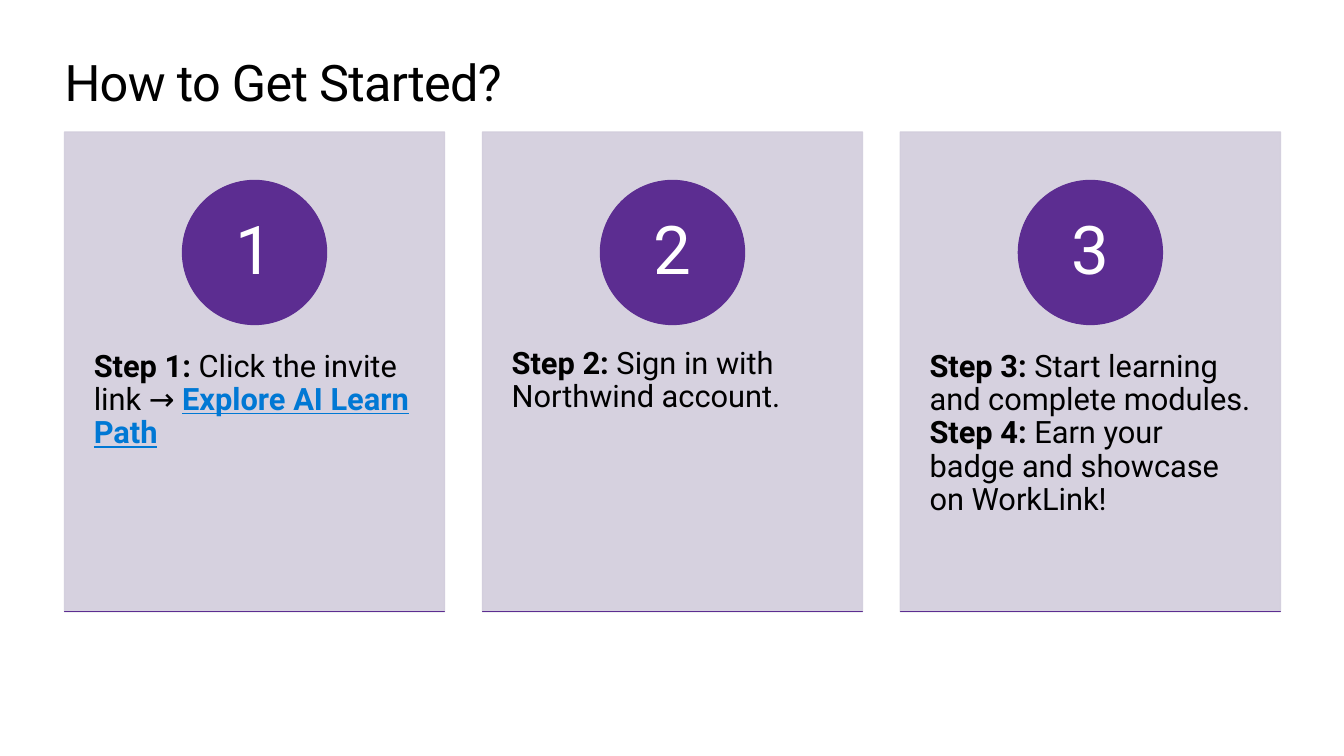
from lxml.etree import SubElement
from pptx import Presentation
from pptx.dml.color import RGBColor
from pptx.enum.shapes import MSO_SHAPE as Preset
from pptx.enum.text import MSO_ANCHOR as Anchor, PP_ALIGN as Align
from pptx.oxml.ns import qn
from pptx.util import Inches, Pt

BLACK = RGBColor(0x00, 0x00, 0x00)
WHITE = RGBColor(0xFF, 0xFF, 0xFF)
LILAC = RGBColor(0xD2, 0xCD, 0xDC)
PURPLE = RGBColor(0x5C, 0x2D, 0x91)
LINK_BLUE = RGBColor(0x00, 0x78, 0xD4)

TITLE = "How to Get Started?"
PLAIN = {"bold": False}
STRONG = {"bold": True}
LINK = {"bold": True, "underline": True, "color": LINK_BLUE}
CARDS = [
    [[("Step 1:", STRONG), (" Click the invite link → ", PLAIN),
      ("Explore AI Learn Path", LINK)]],
    [[("Step 2:", STRONG), (" Sign in with Northwind account.", PLAIN)]],
    [[("Step 3:", STRONG), (" Start learning and complete modules.", PLAIN)],
     [("Step 4:", STRONG), (" Earn your badge and showcase on WorkLink!", PLAIN)]],
]

LEFT, CARD_TOP = 0.64, 1.31
CARD_WIDTH, CARD_HEIGHT, PITCH = 3.77, 4.76, 4.145
CIRCLE_TOP, CIRCLE_SIZE = 1.79, 1.43
STEP_TOP, STEP_HEIGHT = 3.12, 2.86


def add_span(para, text, size, color=BLACK, **formats):
    span = para.add_run()
    span.text = text
    span.font.color.rgb = color
    for name, value in {"name": "Roboto", "size": Pt(size), **formats}.items():
        setattr(span.font, name, value)
    return span


def set_frame(shape, across=0, down=0, anchor=Anchor.TOP):
    frame = shape.text_frame
    formats = {
        "word_wrap": True, "vertical_anchor": anchor,
        "margin_left": Inches(across), "margin_right": Inches(across),
        "margin_top": Inches(down), "margin_bottom": Inches(down),
    }
    for name, value in formats.items():
        setattr(frame, name, value)
    return frame.paragraphs[0]


def add_solid(page, preset, color, place, opacity=100):
    shape = page.shapes.add_shape(preset, *map(Inches, place))
    shape.shadow.inherit = False
    shape.line.width = Pt(0.85)
    for fill in (shape.fill, shape.line.fill):
        fill.solid()
        fill.fore_color.rgb = color
    if opacity < 100:
        for tint in shape.element.spPr.iter(qn("a:srgbClr")):
            SubElement(tint, qn("a:alpha"), val=str(opacity * 1000))
    return shape


def add_card(page, index, lines):
    left = LEFT + index * PITCH
    add_solid(page, Preset.RECTANGLE, LILAC,
              (left, CARD_TOP, CARD_WIDTH, CARD_HEIGHT), 90)

    box = page.shapes.add_textbox(
        *map(Inches, (left, STEP_TOP, CARD_WIDTH, STEP_HEIGHT)))
    para = set_frame(box, 0.29, 0.36)
    para.line_spacing = 0.9
    for number, line in enumerate(lines):
        if number:
            para.add_line_break()
        for text, formats in line:
            add_span(para, text, 22, **formats)

    circle_left = left + (CARD_WIDTH - CIRCLE_SIZE) / 2
    circle = add_solid(page, Preset.OVAL, PURPLE,
                       (circle_left, CIRCLE_TOP, CIRCLE_SIZE, CIRCLE_SIZE))
    para = set_frame(circle, 0.11, 0.01, Anchor.MIDDLE)
    para.alignment = Align.CENTER
    para.line_spacing = 0.9
    add_span(para, str(index + 1), 48, WHITE)

    add_solid(page, Preset.RECTANGLE, PURPLE,
              (left, CARD_TOP + CARD_HEIGHT, CARD_WIDTH, 0))


def main():
    deck = Presentation()
    deck.slide_width, deck.slide_height = Inches(13.33), Inches(7.5)
    page = deck.slides.add_slide(deck.slide_layouts[6])

    box = page.shapes.add_textbox(*map(Inches, (LEFT, 0.5, 12.05, 0.61)))
    title = add_span(set_frame(box, anchor=Anchor.MIDDLE), TITLE, 36)
    title.font._element.set("spc", "-50")

    for index, lines in enumerate(CARDS):
        add_card(page, index, lines)
    deck.save("out.pptx")


if __name__ == "__main__":
    main()
